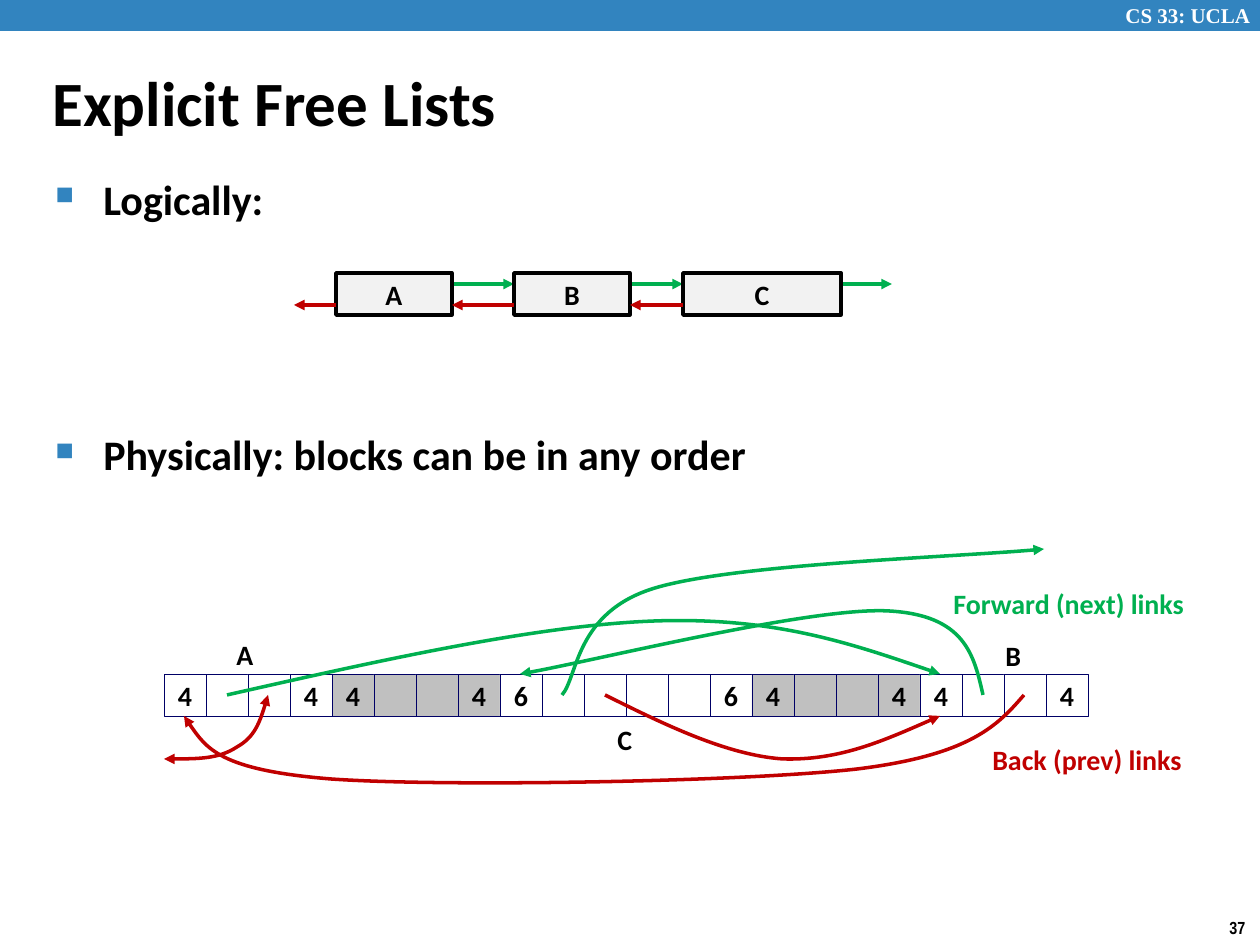
"""Builds a slide that shows explicit free lists logically and physically."""
from lxml.etree import SubElement
from pptx import Presentation
from pptx.dml.color import RGBColor
from pptx.enum.shapes import MSO_CONNECTOR, MSO_SHAPE
from pptx.enum.text import MSO_ANCHOR, PP_ALIGN
from pptx.oxml.ns import qn
from pptx.util import Pt

EMU_PER_PX = 914400 / 126
WIDTH, HEIGHT = 1260, 945
BLUE, GREEN, RED = "3284BF", "00B050", "C00000"
BLACK, WHITE, NAVY = "000000", "FFFFFF", "000066"
LIGHT_GREY, GREY = "F2F2F2", "C0C0C0"
CELL = 42


def px(length):
    return round(length * EMU_PER_PX)


def color(value):
    return RGBColor.from_string(value)


def write(paragraph, text, size=16, font="Calibri", fill=BLACK, align=None, spacing=None, before=None):
    paragraph.text = text
    paragraph.alignment = align
    if spacing:
        paragraph.line_spacing = spacing
    if before:
        paragraph.space_before = Pt(before)
    paragraph.font.size = Pt(size)
    paragraph.font.name = font
    paragraph.font.bold = True
    paragraph.font.color.rgb = color(fill)


class SlideBuilder:
    """Holds the slide and draws each kind of element in one style."""

    def __init__(self, slide):
        self.shapes = slide.shapes

    def rectangle(self, left, top, width, height, fill, line=None, weight=2, text=""):
        shape = self.shapes.add_shape(MSO_SHAPE.RECTANGLE, px(left), px(top), px(width), px(height))
        shape.shadow.inherit = False
        shape.fill.solid()
        shape.fill.fore_color.rgb = color(fill)
        if line:
            self.stroke(shape, line, weight)
        else:
            shape.line.fill.background()
        if text:
            shape.text_frame.word_wrap = False
            shape.text_frame.vertical_anchor = MSO_ANCHOR.MIDDLE
            write(shape.text_frame.paragraphs[0], text, align=PP_ALIGN.CENTER)

    def text_box(self, left, top, width, height, wrap=False, anchor=MSO_ANCHOR.TOP):
        shape = self.shapes.add_textbox(px(left), px(top), px(width), px(height))
        shape.text_frame.word_wrap = wrap
        shape.text_frame.vertical_anchor = anchor
        return shape.text_frame

    def label(self, text, left, top, width, height=47, **style):
        frame = self.text_box(left, top, width, height)
        write(frame.paragraphs[0], text, **style)

    def title(self, text):
        frame = self.text_box(40, 67, 837, 79, True, MSO_ANCHOR.MIDDLE)
        write(frame.paragraphs[0], text, size=36, spacing=0.87)

    def bullets(self, items, gap):
        frame = self.text_box(43, 175, 1145, 335, True)
        for index, item in enumerate(items):
            paragraph = frame.add_paragraph() if index else frame.paragraphs[0]
            properties = paragraph._p.get_or_add_pPr()
            properties.set("marL", str(px(48)))
            properties.set("indent", str(px(-48)))
            bullet_color = SubElement(properties, qn("a:buClr"))
            SubElement(bullet_color, qn("a:srgbClr"), val=BLUE)
            SubElement(properties, qn("a:buSzPct"), val="60000")
            SubElement(properties, qn("a:buChar"), char="■")
            write(paragraph, item, size=24, spacing=0.85, before=gap if index else None)

    def stroke(self, shape, line, weight=2, ends=()):
        shape.line.color.rgb = color(line)
        shape.line.width = Pt(weight)
        outline = shape.element.find(".//" + qn("a:ln"))
        for end in ends:
            SubElement(outline, qn(f"a:{end}End"), type="triangle")

    def arrow(self, start, end, y, line):
        connector = self.shapes.add_connector(MSO_CONNECTOR.STRAIGHT, px(start), px(y), px(end), px(y))
        self.stroke(connector, line, ends=["tail"])
        SubElement(connector.element.spPr, qn("a:effectLst"))

    def curve(self, points, line, ends=("tail",)):
        builder = self.shapes.build_freeform(*points[0], scale=EMU_PER_PX)
        builder.add_line_segments(points[1:], close=False)
        shape = builder.convert_to_shape()
        shape.shadow.inherit = False
        shape.fill.background()
        self.stroke(shape, line, ends=ends)
        outline = shape.element.find(".//" + qn("a:path"))
        segments = outline.findall(qn("a:lnTo"))
        for first in range(0, len(segments), 3):
            bezier = SubElement(outline, qn("a:cubicBezTo"))
            for segment in segments[first:first + 3]:
                bezier.append(segment[0])
                outline.remove(segment)


def draw_logical_list(builder):
    nodes = [("A", 336, 116), ("B", 514, 116), ("C", 683, 158)]
    lefts = [left for _, left, _ in nodes]
    rights = [left + width for _, left, width in nodes]
    for start, end in zip(rights, lefts[1:] + [892]):
        builder.arrow(start, end, 284, GREEN)
    for name, left, width in nodes:
        builder.rectangle(left, 273, width, CELL, LIGHT_GREY, BLACK, text=name)
    for start, end in zip(lefts, [294] + rights):
        builder.arrow(start, end, 305, RED)


def draw_memory(builder):
    left = 164
    for size, fill in [(4, WHITE), (4, GREY), (6, WHITE), (4, GREY), (4, WHITE)]:
        for index in range(size):
            text = str(size) if index in (0, size - 1) else ""
            builder.rectangle(left, 674, CELL, CELL, fill, NAVY, 0.25, text)
            left += CELL


def draw_links(builder):
    builder.curve([(227, 695), (382, 660), (538, 625), (656, 621),
                   (776, 617), (858, 646), (940, 674)], GREEN)
    builder.curve([(983, 695), (974, 655), (965, 615), (888, 611),
                   (811, 607), (582, 664), (520, 674)], GREEN)
    builder.curve([(1024, 695), (998, 725), (971, 755), (857, 769), (741, 782),
                   (444, 787), (331, 779), (219, 770), (202, 743), (184, 716)], RED)
    builder.curve([(605, 695), (665, 725), (727, 755), (782, 759),
                   (839, 761), (890, 738), (940, 716)], RED)
    builder.curve([(562, 695), (578, 677), (575, 612), (655, 588),
                   (735, 564), (963, 557), (1044, 549)], GREEN)
    builder.curve([(268, 695), (262, 716), (255, 737), (237, 747),
                   (219, 759), (192, 759), (164, 759)], RED, ("head", "tail"))


def main():
    presentation = Presentation()
    presentation.slide_width, presentation.slide_height = px(WIDTH), px(HEIGHT)
    builder = SlideBuilder(presentation.slides.add_slide(presentation.slide_layouts[6]))

    builder.rectangle(0, 0, WIDTH, 31, BLUE)
    builder.label("CS 33: UCLA", 1113, -4, 156, 38, size=12, font="Times New Roman", fill=WHITE)
    builder.label("37", 1217, 911, 43, 34, size=10, font="Arial Narrow")
    builder.title("Explicit Free Lists")
    builder.bullets(["Logically:", "Physically: blocks can be in any order"], gap=121.5)
    draw_logical_list(builder)
    draw_memory(builder)
    draw_links(builder)
    builder.label("Forward (next) links", 941, 580, 258, fill=GREEN)
    builder.label("Back (prev) links", 980, 736, 217, fill=RED)
    for name, left, top in [("A", 224, 631), ("B", 993, 632), ("C", 605, 716)]:
        builder.label(name, left, top, 42)

    presentation.save("out.pptx")


if __name__ == "__main__":
    main()
